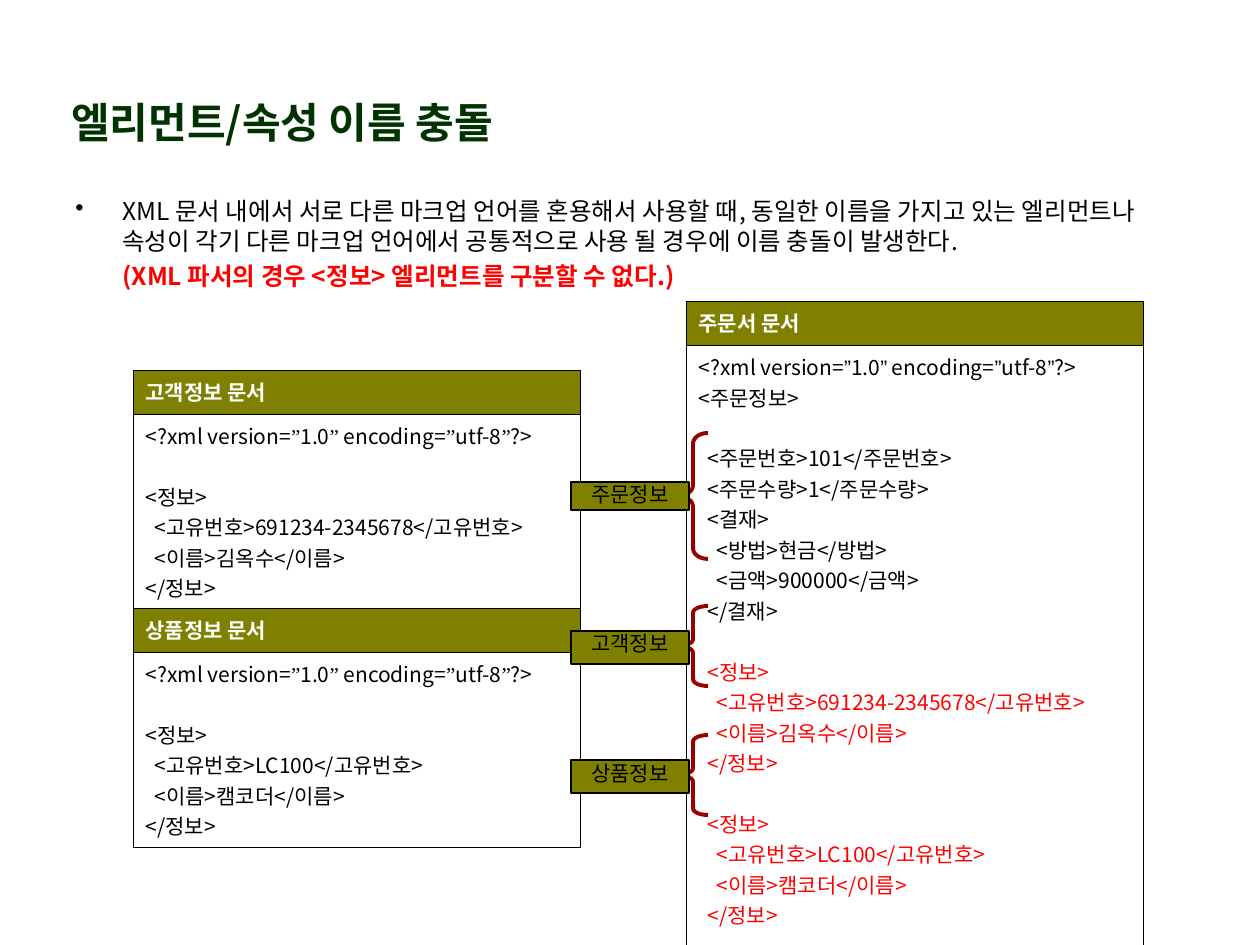
from lxml import etree
from pptx import Presentation
from pptx import util as u
from pptx.dml import color
from pptx.enum import shapes, text
from pptx.oxml import ns

PX = 914400 / 126
FONT = "Noto Sans CJK KR"
OLIVE, BLACK, WHITE, RED = "808000", "000000", "FFFFFF", "FF0000"
XML_DECL = "<?xml version=”1.0” encoding=”utf-8”?>"
LINE_GAP = 17.4
LEVEL_INDENT = 9
HEAD_H = 44

CUSTOMER = ["<정보>", " <고유번호>691234-2345678</고유번호>", " <이름>김옥수</이름>", "</정보>"]
PRODUCT = ["<정보>", " <고유번호>LC100</고유번호>", " <이름>캠코더</이름>", "</정보>"]
ORDER = [" <주문번호>101</주문번호>", " <주문수량>1</주문수량>", " <결재>",
         "  <방법>현금</방법>", "  <금액>900000</금액>", " </결재>"]


def px(n):
    return u.Emu(round(n * PX))


def rgb(value):
    return color.RGBColor.from_string(value)


def add_run(p, content, size, fill, bold=False, font=FONT):
    r = p.add_run()
    r.text = content
    r.font.size = u.Pt(size)
    r.font.bold = bold
    r.font.color.rgb = rgb(fill)
    r.font.name = font
    ea = etree.SubElement(r.font._element, ns.qn("a:ea"))
    ea.set("typeface", font)


def set_indent(p, left, first=0, bullet=None):
    pPr = p._p.get_or_add_pPr()
    pPr.set("marL", str(px(left)))
    pPr.set("indent", str(px(first)))
    if bullet:
        etree.SubElement(pPr, ns.qn("a:buChar")).set("char", bullet)


def add_declaration(p, quote_font):
    for i, part in enumerate(XML_DECL.split("”")):
        if i:
            add_run(p, "”", 12, BLACK, font=quote_font)
        add_run(p, part, 12, BLACK)


def add_code(tf, root, blocks, quote_font):
    add_declaration(tf.paragraphs[0], quote_font)
    if root:
        add_run(tf.add_paragraph(), root, 12, BLACK)
    for lines, fill in blocks:
        for i, line in enumerate(lines):
            p = tf.add_paragraph()
            code = line.lstrip()
            set_indent(p, LEVEL_INDENT * (len(line) - len(code)))
            if i == 0:
                p.space_before = u.Pt(LINE_GAP)
            add_run(p, code, 12, fill)


def set_borders(cell):
    tcPr = cell._tc.get_or_add_tcPr()
    for i, side in enumerate(("lnL", "lnR", "lnT", "lnB")):
        ln = etree.Element(ns.qn(f"a:{side}"), w=str(u.Pt(0.45)))
        fill = etree.SubElement(ln, ns.qn("a:solidFill"))
        etree.SubElement(fill, ns.qn("a:srgbClr"), val=BLACK)
        tcPr.insert(i, ln)


def add_document(s, x, y, w, body_h, heading, blocks, quote_font, root=None):
    frame = s.shapes.add_table(2, 1, px(x), px(y), px(w), px(HEAD_H + body_h))
    table = frame.table
    table.first_row = table.horz_banding = False
    table.rows[0].height = px(HEAD_H)
    table.rows[1].height = px(body_h)
    head, body = table.cell(0, 0), table.cell(1, 0)
    head.fill.solid()
    head.fill.fore_color.rgb = rgb(OLIVE)
    body.fill.background()
    add_run(head.text_frame.paragraphs[0], heading, 12, WHITE, bold=True)
    add_code(body.text_frame, root, blocks, quote_font)
    for cell in (head, body):
        set_borders(cell)


def add_textbox(s, x, y, w, h):
    tf = s.shapes.add_textbox(px(x), px(y), px(w), px(h)).text_frame
    tf.word_wrap = True
    return tf


def add_title(s):
    tf = add_textbox(s, 59, 78, 746, 87)
    tf.vertical_anchor = text.MSO_ANCHOR.MIDDLE
    add_run(tf.paragraphs[0], "엘리먼트/속성 이름 충돌", 24, "003300", bold=True)


def add_description(s):
    tf = add_textbox(s, 63, 190, 1143, 113)
    p = tf.paragraphs[0]
    set_indent(p, 47, -47, "•")
    add_run(p, "XML 문서 내에서 서로 다른 마크업 언어를 혼용해서 사용할 때, 동일한 이름을 "
               "가지고 있는 엘리먼트나 속성이 각기 다른 마크업 언어에서 공통적으로 사용 될 "
               "경우에 이름 충돌이 발생한다.", 14, BLACK)
    p = tf.add_paragraph()
    set_indent(p, 47)
    add_run(p, "(XML 파서의 경우 <정보> 엘리먼트를 구분할 수 없다.)", 14, RED, bold=True)
    for p in tf.paragraphs:
        p.space_before = u.Pt(3.5)


def add_brace(s, y, h):
    w = 30
    sp = s.shapes.add_shape(shapes.MSO_SHAPE.LEFT_BRACE, px(678), px(y), px(w), px(h))
    sp.adjustments[0] = h / (12 * w)
    sp.shadow.inherit = False
    sp.fill.background()
    sp.line.color.rgb = rgb("990000")
    sp.line.width = u.Pt(2.25)


def add_label(s, y, h, caption):
    sp = s.shapes.add_shape(shapes.MSO_SHAPE.RECTANGLE, px(571), px(y), px(118), px(h))
    sp.shadow.inherit = False
    sp.fill.solid()
    sp.fill.fore_color.rgb = rgb(OLIVE)
    sp.line.color.rgb = rgb(BLACK)
    sp.line.width = u.Pt(0.75)
    tf = sp.text_frame
    tf.margin_top = tf.margin_bottom = 0
    tf.vertical_anchor = text.MSO_ANCHOR.TOP
    p = tf.paragraphs[0]
    p.alignment = text.PP_ALIGN.CENTER
    add_run(p, caption, 12, BLACK)


def nested(lines):
    return [" " + line for line in lines]


def main():
    prs = Presentation()
    prs.slide_width, prs.slide_height = px(1260), px(945)
    s = prs.slides.add_slide(prs.slide_layouts[6])
    for y, heading, lines in ((370, "고객정보 문서", CUSTOMER), (608, "상품정보 문서", PRODUCT)):
        add_document(s, 133, y, 447, 194, heading, [(lines, BLACK)], "Times New Roman")
    add_title(s)
    order_blocks = [(ORDER, BLACK), (nested(CUSTOMER), RED), (nested(PRODUCT), RED)]
    add_document(s, 686, 301, 457, 600, "주문서 문서", order_blocks, "Arial", "<주문정보>")
    labels = [(433, 126, 482, 28, "주문정보"), (606, 80, 631, 33, "고객정보"),
              (735, 80, 760, 33, "상품정보")]
    for brace_y, brace_h, *_ in labels:
        add_brace(s, brace_y, brace_h)
    for _, _, y, h, caption in labels:
        add_label(s, y, h, caption)
    add_description(s)
    prs.save("out.pptx")


if __name__ == "__main__":
    main()
